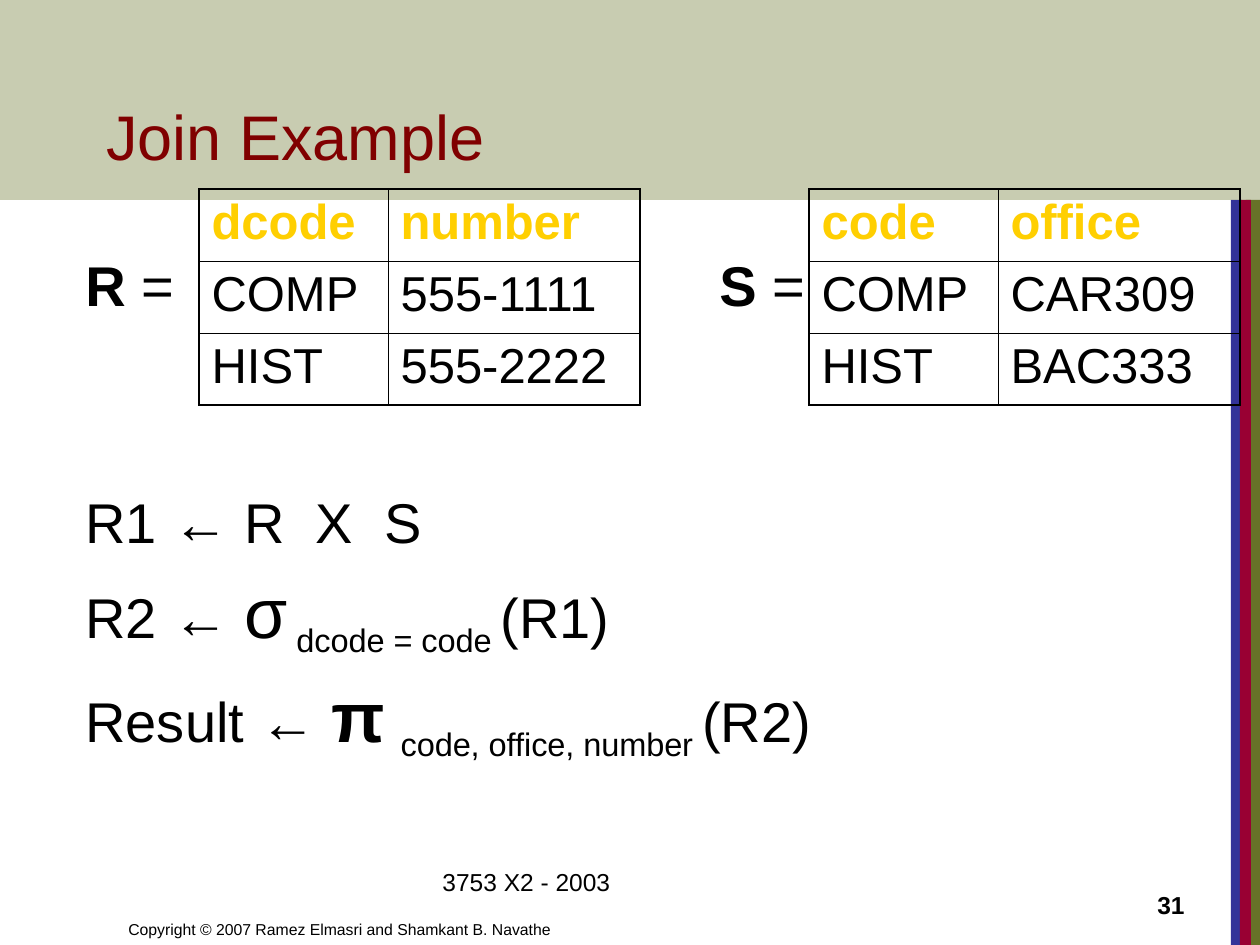
"""Build the Join Example slide with two relations and their algebra steps."""
import pptx
import pptx.dml.color
import pptx.enum.shapes
import pptx.enum.text
import pptx.oxml.ns
import pptx.util
from lxml import etree

PX = 914400 // 126
FONT = "Arial"
BLACK, MAROON, YELLOW, OLIVE = "000000", "800000", "FFCF01", "677228"
TOP = pptx.enum.text.MSO_ANCHOR.TOP
BOTTOM = pptx.enum.text.MSO_ANCHOR.BOTTOM
LEFT = pptx.enum.text.PP_ALIGN.LEFT
RIGHT = pptx.enum.text.PP_ALIGN.RIGHT

BANDS = [
    ((1246, 200, 14, 745), OLIVE, 100),
    ((1231, 200, 11, 745), "333399", 100),
    ((1240, 200, 11, 745), "990033", 100),
    ((0, 0, 1260, 200), OLIVE, 36),
]
LABELS = [
    ("Copyright © 2007 Ramez Elmasri and Shamkant B. Navathe",
     (116, 882, 620, 63), 9, BLACK, False, LEFT, BOTTOM),
    ("3753 X2 - 2003", (430, 861, 400, 65), 14, BLACK, False, LEFT, TOP),
    ("31", (903, 861, 294, 65), 14, BLACK, True, RIGHT, BOTTOM),
    ("Join Example", (94, 21, 1071, 158), 36, MAROON, False, LEFT, BOTTOM),
]
BODY_PLACE = (73, 244, 1092, 565)
SECOND_RELATION_TAB = 634
BOLD, LARGE, SUB = {"bold": True}, {"size": 40}, {"baseline": -25000}
STEPS = [
    (0, [("R", BOLD), (" =\t", {}), ("S", BOLD), (" =", {})]),
    (97, [("R1 ", {}), ("←", BOLD), (" R  X  S", {})]),
    (8, [("R2 ", {}), ("← ", BOLD), ("σ", LARGE),
         (" dcode = code ", SUB), ("(R1)", {})]),
    (8, [("Result ", {}), ("← ", BOLD), ("π", BOLD | LARGE), (" ", BOLD),
         ("code, office, number ", SUB), ("(R2)", {})]),
]
TABLE_TOP, ROW_HEIGHT = 189, 72
RELATIONS = [
    (199, (189, 252),
     [("dcode", "number"), ("COMP", "555-1111"), ("HIST", "555-2222")]),
    (809, (189, 242),
     [("code", "office"), ("COMP", "CAR309"), ("HIST", "BAC333")]),
]
OUTER, INNER = 1.08, 0.45


def px(*lengths):
    return [length * PX for length in lengths]


def rgb(code):
    return pptx.dml.color.RGBColor.from_string(code)


def add_tag(parent, tag, **attributes):
    return etree.SubElement(parent, pptx.oxml.ns.qn(tag), attributes)


def add_span(para, text, size, color=BLACK, bold=False, baseline=0):
    span = para.add_run()
    span.text = text
    span.font.name = FONT
    span.font.size = pptx.util.Pt(size)
    span.font.bold = bold
    span.font.color.rgb = rgb(color)
    if baseline:
        span._r.get_or_add_rPr().set("baseline", str(baseline))


def add_box(page, place, anchor):
    frame = page.shapes.add_textbox(*px(*place)).text_frame
    frame.word_wrap = True
    frame.vertical_anchor = anchor
    return frame


def add_band(page, place, color, opacity):
    band = page.shapes.add_shape(
        pptx.enum.shapes.MSO_SHAPE.RECTANGLE, *px(*place))
    band.shadow.inherit = False
    band.line.fill.background()
    band.fill.solid()
    band.fill.fore_color.rgb = rgb(color)
    if opacity < 100:
        tint = band._element.spPr.find(".//" + pptx.oxml.ns.qn("a:srgbClr"))
        add_tag(tint, "a:alpha", val=str(opacity * 1000))


def add_label(page, text, place, size, color, bold, align, anchor):
    para = add_box(page, place, anchor).paragraphs[0]
    para.alignment = align
    add_span(para, text, size, color, bold)


def add_steps(page):
    frame = add_box(page, BODY_PLACE, TOP)
    for index, (space, spans) in enumerate(STEPS):
        para = frame.add_paragraph() if index else frame.paragraphs[0]
        if index:
            para.space_before = pptx.util.Pt(space)
        else:
            tabs = add_tag(para._p.get_or_add_pPr(), "a:tabLst")
            add_tag(tabs, "a:tab", pos=str(SECOND_RELATION_TAB * PX), algn="l")
        for text, style in spans:
            add_span(para, text, **({"size": 32} | style))


def set_borders(cell, edges):
    properties = cell._tc.get_or_add_tcPr()
    for index, (side, is_outer) in enumerate(edges.items()):
        width = pptx.util.Pt(OUTER if is_outer else INNER)
        line = etree.Element(pptx.oxml.ns.qn("a:ln" + side), w=str(int(width)))
        add_tag(add_tag(line, "a:solidFill"), "a:srgbClr", val=BLACK)
        properties.insert(index, line)


def add_relation(page, left, widths, rows):
    place = (left, TABLE_TOP, sum(widths), ROW_HEIGHT * len(rows))
    table = page.shapes.add_table(len(rows), len(widths), *px(*place)).table
    table.first_row = table.horz_banding = False
    for column, width in zip(table.columns, px(*widths)):
        column.width = width
    for i, values in enumerate(rows):
        for j, value in enumerate(values):
            cell = table.cell(i, j)
            cell.fill.background()
            color = BLACK if i else YELLOW
            add_span(cell.text_frame.paragraphs[0], value, 28, color, i == 0)
            set_borders(cell, {"L": j == 0, "R": j == len(widths) - 1,
                               "T": i == 0, "B": i == len(rows) - 1})


def main():
    deck = pptx.Presentation()
    deck.slide_width, deck.slide_height = px(1260, 945)
    page = deck.slides.add_slide(deck.slide_layouts[6])
    for band in BANDS:
        add_band(page, *band)
    for label in LABELS:
        add_label(page, *label)
    add_steps(page)
    for relation in RELATIONS:
        add_relation(page, *relation)
    deck.save("out.pptx")


if __name__ == "__main__":
    main()
